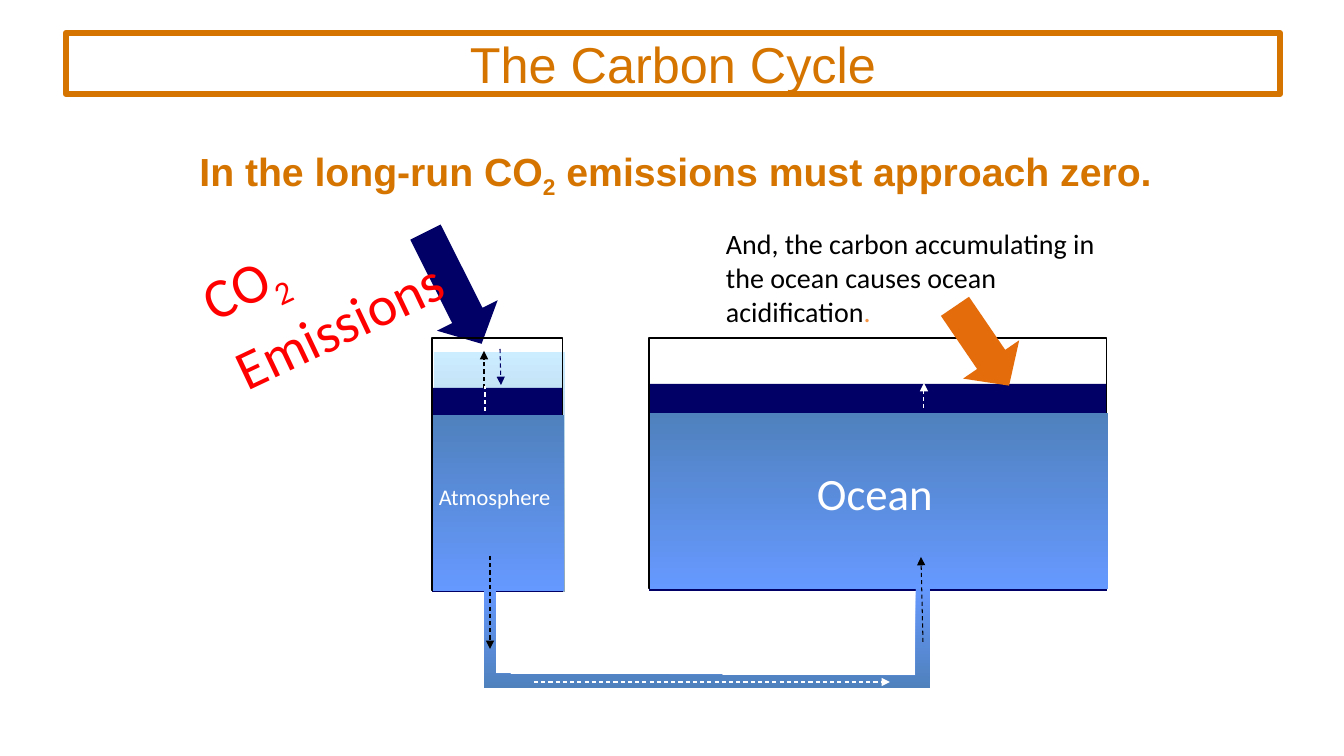
from lxml import etree
from pptx import Presentation
from pptx import util as u
from pptx.dml.color import RGBColor
from pptx.enum import dml, shapes, text
from pptx.oxml.ns import qn

PX = 914400 / 100.8
ORANGE, NAVY, WHITE, BLACK, RED = "D57500", "000066", "FFFFFF", "000000", "FF0000"
STEEL, SKY = "4F81BD", "6699FF"
RECT, ARROW = shapes.MSO_SHAPE.RECTANGLE, shapes.MSO_SHAPE.RIGHT_ARROW


def px(*values):
    return [u.Emu(round(value * PX)) for value in values]


def paint(fill, *colors):
    """Fill with nothing, one colour, or a top-to-bottom gradient of two."""
    if not colors:
        fill.background()
    elif len(colors) == 1:
        fill.solid()
        fill.fore_color.rgb = RGBColor.from_string(colors[0])
    else:
        fill.gradient()
        fill.gradient_angle = 270
        for stop, color in zip(fill.gradient_stops, colors):
            stop.color.rgb = RGBColor.from_string(color)


presentation = Presentation()
presentation.slide_width, presentation.slide_height = px(1344, 756)
slide = presentation.slides.add_slide(presentation.slide_layouts[6])

# Tanks, water layers and block arrows: kind, frame, rotation, fill, outline
blocks = [
    (RECT, (434, 352, 131, 240), 0, ["CCECFF", "92A9B6"], []),
    (RECT, (649, 384, 458, 207), 0, [NAVY], []),
    (RECT, (432, 388, 131, 204), 0, [NAVY], []),
    (ARROW, (391, 254, 125, 68), 63.3, [NAVY], []),
    (RECT, (649, 338, 458, 251), 0, [], [BLACK]),
    (RECT, (432, 338, 131, 253), 0, [], [BLACK]),
    (RECT, (650, 413, 458, 176), 0, [STEEL, SKY], []),
    (RECT, (433, 415, 131, 176), 0, [STEEL, SKY], []),
    (ARROW, (934, 312, 96, 68), 55.7, ["E46C0A"], []),
]
for kind, frame, rotation, fill, outline in blocks:
    block = slide.shapes.add_shape(kind, *px(*frame))
    block.shadow.inherit = False
    block.rotation = rotation
    if kind == ARROW:
        block.adjustments[1] = 0.467
    paint(block.fill, *fill)
    paint(block.line.fill, *outline)
    if outline:
        block.line.width = u.Pt(0.75)

# Pipe joining the two tanks
builder = slide.shapes.build_freeform(484, 589, scale=PX)
builder.add_line_segments([(484, 688), (930, 688), (930, 586), (916, 586),
                           (916, 676), (496, 674), (496, 589)], close=True)
pipe = builder.convert_to_shape()
pipe.shadow.inherit = False
paint(pipe.fill, SKY, STEEL)
paint(pipe.line.fill)

# Dashed flows: ends, colour, arrowhead
flows = [
    ((490, 556, 490, 649), BLACK, True),
    ((923, 642, 921, 557), BLACK, True),
    ((534, 682, 890, 682), WHITE, True),
    ((924, 408, 924, 383), WHITE, True),
    ((500, 349, 501, 385), NAVY, True),
    ((484, 388, 484, 351), BLACK, True),
    ((485, 411, 485, 386), WHITE, False),
]
for ends, color, has_head in flows:
    flow = slide.shapes.add_connector(shapes.MSO_CONNECTOR.STRAIGHT, *px(*ends))
    paint(flow.line.fill, color)
    flow.line.width = u.Pt(0.75)
    flow.line.dash_style = dml.MSO_LINE.DASH
    properties = flow.element.spPr
    if has_head:
        etree.SubElement(properties.find(qn("a:ln")), qn("a:tailEnd"), type="triangle")
    etree.SubElement(properties, qn("a:effectLst"))

# Text: frame, rotation, format, box settings, runs of (words, colour, is subscript)
centered = text.PP_ALIGN.CENTER
no_inset = dict.fromkeys(["margin_left", "margin_top", "margin_right", "margin_bottom"], 0)
labels = [
    ((66, 33, 1214, 61), 0, {"name": "Arial", "size": u.Pt(36)},
     {**no_inset, "vertical_anchor": text.MSO_ANCHOR.MIDDLE},
     [("The Carbon Cycle", ORANGE, False)]),
    ((197, 204, 283, 144), 334.7, {"name": "Calibri", "size": u.Pt(40)}, {},
     [("CO", RED, False), ("2 ", RED, True), ("Emissions", RED, False)]),
    ((429, 478, 133, 37), 0, {"name": "Calibri", "size": u.Pt(16)}, {"word_wrap": False},
     [("Atmosphere", WHITE, False)]),
    ((807, 461, 137, 65), 0, {"name": "Calibri", "size": u.Pt(32)}, {"word_wrap": False},
     [("Ocean", WHITE, False)]),
    ((716, 222, 416, 112), 0, {"name": "Calibri", "size": u.Pt(20)}, {},
     [("And, the carbon accumulating in the ocean causes ocean acidification", BLACK, False),
      (".", "F79646", False)]),
    ((71, 147, 1209, 47), 0, {"name": "Arial", "size": u.Pt(28), "bold": True}, no_inset,
     [("In the long-run CO", ORANGE, False), ("2", ORANGE, True),
      (" emissions must approach zero.", ORANGE, False)]),
]
for index, (frame, rotation, font, settings, runs) in enumerate(labels):
    box = slide.shapes.add_textbox(*px(*frame))
    box.rotation = rotation
    for name, value in {"word_wrap": True, **settings}.items():
        setattr(box.text_frame, name, value)
    paragraph = box.text_frame.paragraphs[0]
    if "margin_left" in settings:
        paragraph.alignment = centered
    if index == 0:
        paint(box.line.fill, ORANGE)
        box.line.width = u.Pt(4.5)
    for words, color, is_subscript in runs:
        run = paragraph.add_run()
        run.text = words
        for name, value in font.items():
            setattr(run.font, name, value)
        paint(run.font.fill, color)
        if is_subscript:
            run._r.get_or_add_rPr().set("baseline", "-25000")

presentation.save("out.pptx")
